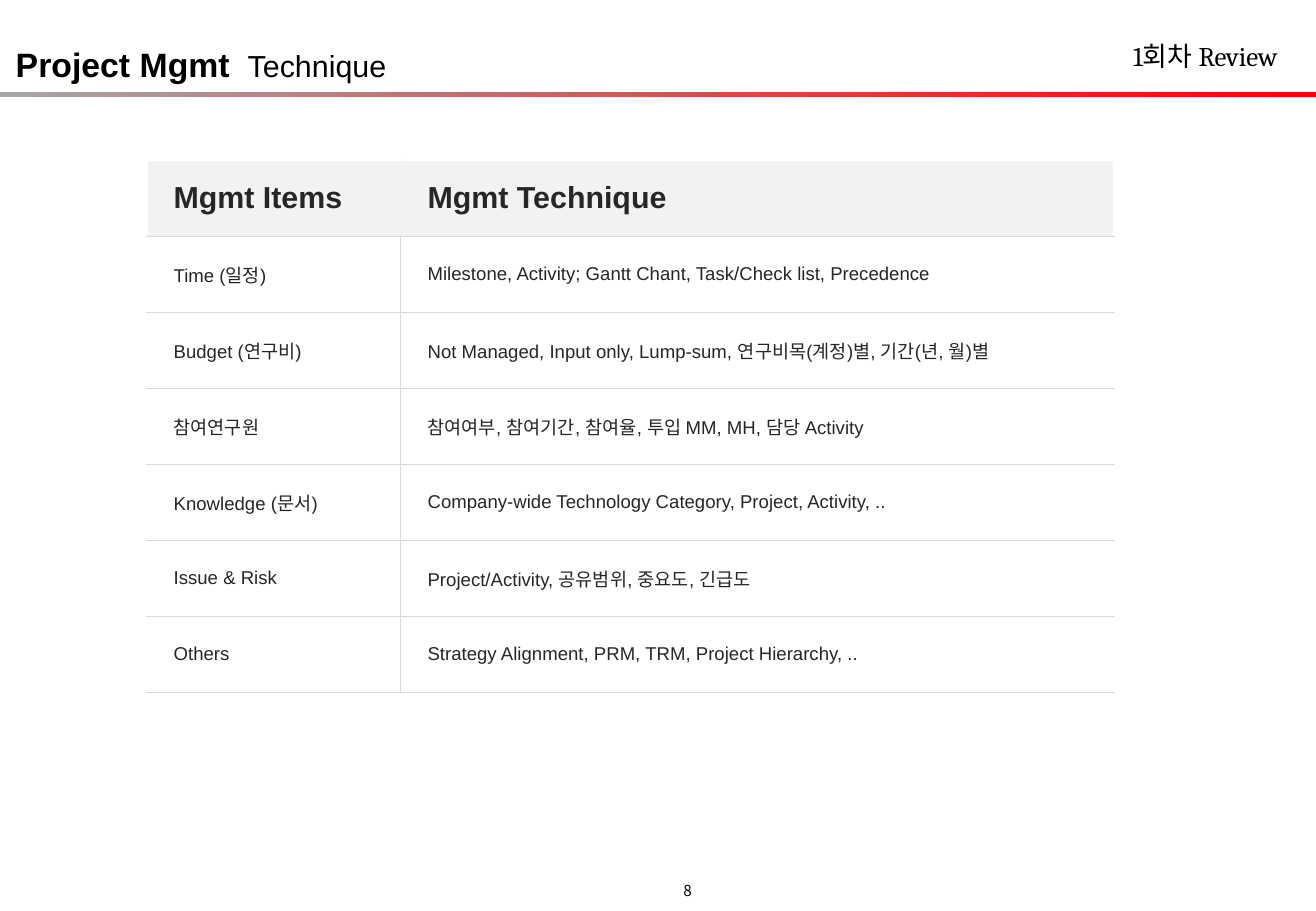
from lxml import etree
from pptx import Presentation
from pptx import util as u
from pptx.dml.color import RGBColor
from pptx.enum import shapes, text
from pptx.oxml import ns

GREY, WHITE, BLACK, INK = "D9D9D9", "FFFFFF", "000000", "262626"
KOREAN_FONT = "Noto Sans CJK KR"

HEADER = ("Mgmt Items", "Mgmt Technique")
TECHNIQUES = [
    ("Time (일정)", "Milestone, Activity; Gantt Chant, Task/Check list, Precedence"),
    ("Budget (연구비)", "Not Managed, Input only, Lump-sum, 연구비목(계정)별, 기간(년, 월)별"),
    ("참여연구원", "참여여부, 참여기간, 참여율, 투입 MM, MH, 담당 Activity"),
    ("Knowledge (문서)", "Company-wide Technology Category, Project, Activity, .."),
    ("Issue & Risk", "Project/Activity, 공유범위, 중요도, 긴급도"),
    ("Others", "Strategy Alignment, PRM, TRM, Project Hierarchy, .."),
]


def colour(value):
    return RGBColor.from_string(value)


def add_child(parent, tag, **attributes):
    return etree.SubElement(parent, ns.qn(tag), attributes)


def add_span(para, words, size, font="Arial", ink=BLACK, bold=False):
    span = para.add_run()
    span.text = words
    span.font.size = u.Pt(size)
    span.font.bold = bold
    span.font.color.rgb = colour(ink)
    span.font.name = font
    # Korean letters take their own typeface
    add_child(span.font._element, "a:ea", typeface=KOREAN_FONT)


def add_label(page, left, top, width, height):
    """Add an unwrapped text box and return its frame."""
    box = page.shapes.add_textbox(u.Cm(left), u.Cm(top), u.Cm(width), u.Cm(height))
    frame = box.text_frame
    frame.word_wrap = False
    frame.auto_size = text.MSO_AUTO_SIZE.SHAPE_TO_FIT_TEXT
    return frame


def add_rule(page):
    rule = page.shapes.add_shape(shapes.MSO_SHAPE.RECTANGLE,
                                 u.Cm(0), u.Cm(1.93), u.Cm(27.51), u.Cm(0.1))
    rule.shadow.inherit = False
    rule.line.fill.background()
    rule.fill.gradient()
    rule.fill.gradient_angle = 0
    for stop, value in zip(rule.fill.gradient_stops, ("A6A6A6", "FF0000")):
        stop.color.rgb = colour(value)


def add_title(page):
    para = add_label(page, 0.08, 0.79, 8.61, 1.12).paragraphs[0]
    tabs = add_child(para._p.get_or_add_pPr(), "a:tabLst")
    add_child(tabs, "a:tab", pos=str(u.Cm(4.85)), algn="l")
    add_span(para, "Project Mgmt\t", 20, bold=True)
    add_span(para, "Technique", 18)


def set_borders(cell, **edges):
    properties = cell._tc.get_or_add_tcPr()
    for position, side in enumerate("LRTB"):
        value = edges[side]
        width = u.Pt(1 if value == WHITE else 0.75)
        line = etree.Element(ns.qn(f"a:ln{side}"), w=str(width))
        add_child(add_child(line, "a:solidFill"), "a:srgbClr", val=value)
        properties.insert(position, line)


def fill_cell(cell, words, header, first):
    cell.fill.solid()
    cell.fill.fore_color.rgb = colour("F2F2F2" if header else WHITE)
    cell.vertical_anchor = text.MSO_ANCHOR.MIDDLE
    cell.margin_left = cell.margin_right = u.Cm(0.56)
    cell.margin_top = cell.margin_bottom = u.Cm(0.3)
    add_span(cell.text_frame.paragraphs[0], words, 18 if header else 11,
             ink=INK, bold=header)
    divider = WHITE if header else "D9D9D9"
    if header:
        divider = "F2F2F2"
    set_borders(cell, L=WHITE if first else divider, R=divider if first else WHITE,
                T=WHITE if header else GREY, B=GREY)


def add_technique_table(page):
    rows = [HEADER] + TECHNIQUES
    widths, height = (5.31, 14.91), 1.59
    table = page.shapes.add_table(len(rows), len(widths), u.Cm(3.07), u.Cm(3.35),
                                  u.Cm(sum(widths)), u.Cm(height * len(rows))).table
    table.horz_banding = False
    for column, width in zip(table.columns, widths):
        column.width = u.Cm(width)
    for r, row in enumerate(rows):
        table.rows[r].height = u.Cm(height)
        for c, words in enumerate(row):
            fill_cell(table.cell(r, c), words, header=r == 0, first=c == 0)


def add_page_number(page):
    frame = add_label(page, 14.02, 18.31, 0.69, 0.64)
    frame.vertical_anchor = text.MSO_ANCHOR.MIDDLE
    para = frame.paragraphs[0]
    para.alignment = text.PP_ALIGN.RIGHT
    add_span(para, "8", 9, KOREAN_FONT)


def main():
    deck = Presentation()
    deck.slide_width, deck.slide_height = u.Cm(27.51), u.Cm(19.05)
    page = deck.slides.add_slide(deck.slide_layouts[6])

    # Heading band
    add_rule(page)
    add_title(page)
    session = add_label(page, 23.44, 0.71, 4.01, 0.94)
    add_span(session.paragraphs[0], "1회차 Review", 16, "Cambria")

    # Body and footer
    add_technique_table(page)
    add_page_number(page)

    deck.save("out.pptx")


if __name__ == "__main__":
    main()
